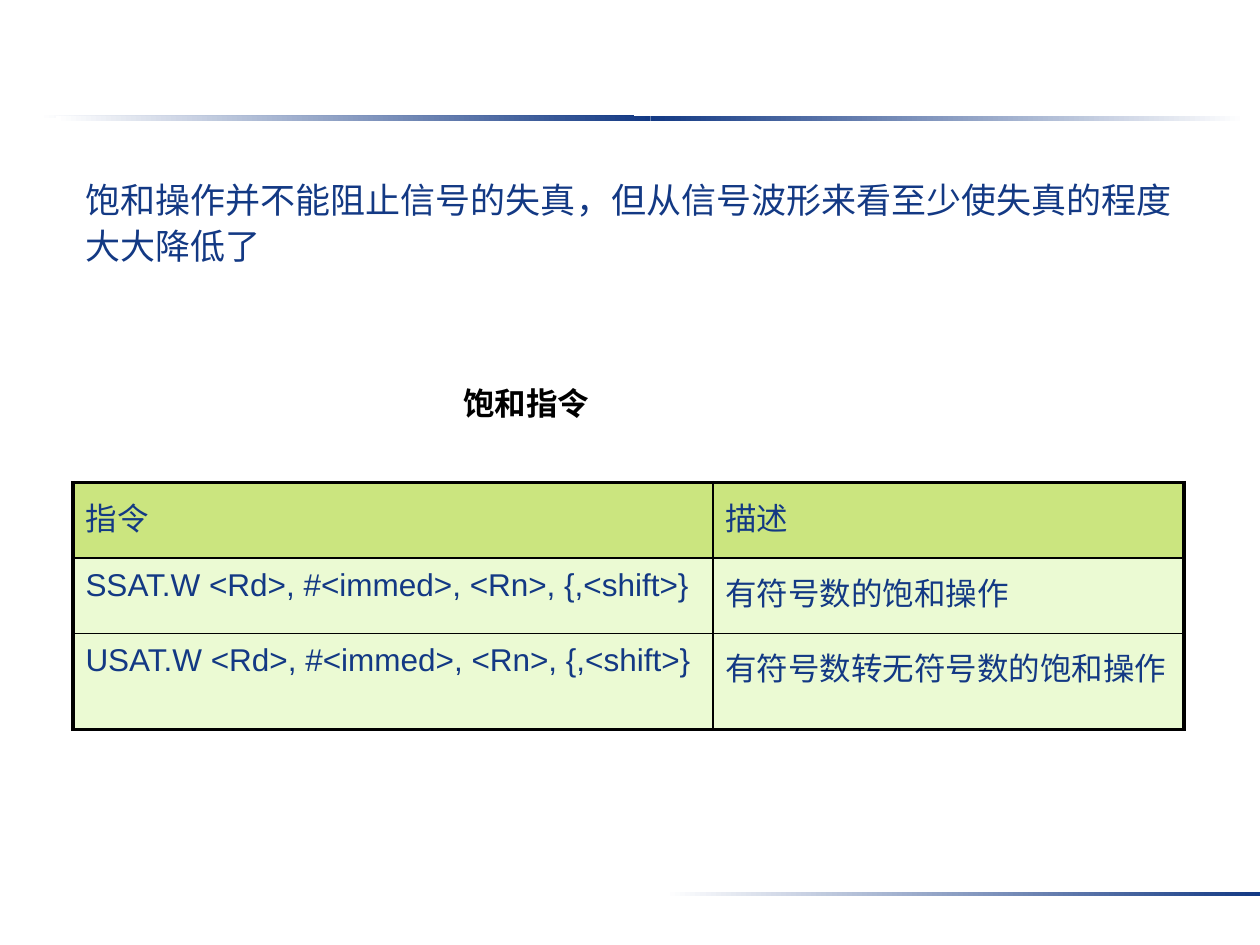
import lxml.etree
import pptx
import pptx.dml.color
import pptx.enum.shapes
import pptx.enum.text
import pptx.oxml.ns
import pptx.util
from pptx.util import Cm

NAVY = pptx.dml.color.RGBColor(0x13, 0x39, 0x84)
WHITE = pptx.dml.color.RGBColor(0xFF, 0xFF, 0xFF)
BLACK = pptx.dml.color.RGBColor(0x00, 0x00, 0x00)
HEADER_GREEN = pptx.dml.color.RGBColor(0x99, 0xCC, 0x00)
ROW_GREEN = pptx.dml.color.RGBColor(0xD8, 0xF6, 0xA8)

BAND_WIDTH = Cm(11.99)
OUTER_LINE, INNER_LINE = 2.25, 1
INSTRUCTIONS = [
    ("指令", "描述"),
    ("SSAT.W <Rd>, #<immed>, <Rn>, {,<shift>}", "有符号数的饱和操作"),
    ("USAT.W <Rd>, #<immed>, <Rn>, {,<shift>}", "有符号数转无符号数的饱和操作"),
]


def add_sub(parent, tag, **attributes):
    return lxml.etree.SubElement(parent, pptx.oxml.ns.qn(tag), **attributes)


def format_text(frame, size, color, bold=False, line_spacing=None):
    for paragraph in frame.paragraphs:
        paragraph.line_spacing = line_spacing
        for run in paragraph.runs:
            run.font.name = "Arial"
            run.font.size = pptx.util.Pt(size)
            run.font.bold = bold
            run.font.color.rgb = color


def add_band(slide, left, top, height, start=WHITE, end=NAVY):
    band = slide.shapes.add_shape(
        pptx.enum.shapes.MSO_SHAPE.RECTANGLE, left, top, BAND_WIDTH, height)
    band.shadow.inherit = False
    band.line.fill.background()
    band.fill.gradient()
    band.fill.gradient_angle = 0
    for stop, color, position in zip(band.fill.gradient_stops, (start, end), (0, 1)):
        stop.color.rgb = color
        stop.position = position


def add_rules(slide, width):
    # Top rule: two mirrored bands meeting at the darkest point
    add_band(slide, Cm(0.79), Cm(2.31), Cm(0.08))
    left, top, height = Cm(1.12), Cm(2.34), Cm(0.1)
    add_band(slide, left, top, height)
    add_band(slide, left + BAND_WIDTH, top, height, start=NAVY, end=WHITE)
    # Footer rule ends at the right edge of the slide
    add_band(slide, width - BAND_WIDTH, Cm(17.98), Cm(0.08))


def add_text(slide, box, text, size, color, wrap=True, **style):
    frame = slide.shapes.add_textbox(*box).text_frame
    frame.word_wrap = wrap
    frame.text = text
    format_text(frame, size, color, **style)
    return frame


def set_borders(cell, widths):
    properties = cell._tc.get_or_add_tcPr()
    for side, width in widths.items():
        line = add_sub(properties, f"a:ln{side}", w=str(pptx.util.Pt(width)))
        fill = add_sub(line, "a:solidFill")
        add_sub(fill, "a:srgbClr", val=str(BLACK))


def fill_half_transparent(cell, color):
    cell.fill.solid()
    cell.fill.fore_color.rgb = color
    properties = cell._tc.get_or_add_tcPr()
    tint = properties.find(
        f"{pptx.oxml.ns.qn('a:solidFill')}/{pptx.oxml.ns.qn('a:srgbClr')}")
    add_sub(tint, "a:alpha", val="50000")


def add_instruction_table(slide, left, top, column_widths, row_heights):
    table = slide.shapes.add_table(
        len(row_heights), len(column_widths), left, top,
        sum(column_widths), sum(row_heights)).table
    for column, width in zip(table.columns, column_widths):
        column.width = width
    for row, height in zip(table.rows, row_heights):
        row.height = height

    last_row, last_column = len(row_heights) - 1, len(column_widths) - 1
    for r, texts in enumerate(INSTRUCTIONS):
        for c, text in enumerate(texts):
            cell = table.cell(r, c)
            cell.text_frame.text = text
            format_text(cell.text_frame, 18, NAVY, line_spacing=1.1)
            on_edge = {"L": c == 0, "R": c == last_column,
                       "T": r == 0, "B": r == last_row}
            set_borders(cell, {side: OUTER_LINE if outer else INNER_LINE
                               for side, outer in on_edge.items()})
            fill_half_transparent(cell, HEADER_GREEN if r == 0 else ROW_GREEN)


def main():
    deck = pptx.Presentation()
    deck.slide_width, deck.slide_height = Cm(25.4), Cm(19.05)
    slide = deck.slides.add_slide(deck.slide_layouts[6])

    add_rules(slide, deck.slide_width)

    # Statement and table caption
    margin = Cm(1.47)
    add_text(slide, (margin, Cm(3.38), Cm(22.86), Cm(2.87)),
             "饱和操作并不能阻止信号的失真，但从信号波形来看至少使失真的程度大大降低了",
             20, NAVY, line_spacing=1.1)
    caption = add_text(slide, (Cm(9.09), Cm(7.62), Cm(3.1), Cm(1.02)),
                       "饱和指令", 18, BLACK, wrap=False, bold=True)
    caption.auto_size = pptx.enum.text.MSO_AUTO_SIZE.SHAPE_TO_FIT_TEXT

    add_instruction_table(slide, margin, Cm(9.73), (Cm(12.9), Cm(9.5)),
                          (Cm(1.52), Cm(1.52), Cm(1.93)))
    deck.save("out.pptx")


if __name__ == "__main__":
    main()
